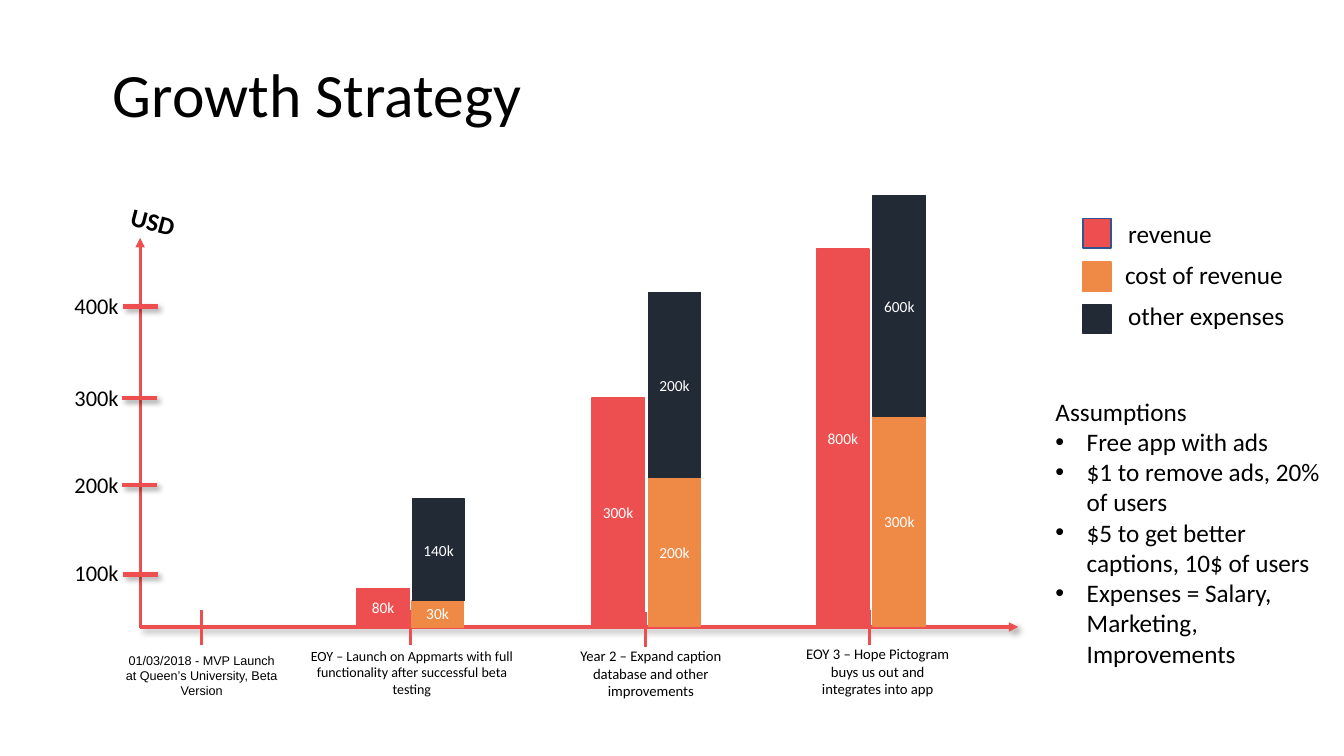
import pptx
import pptx.dml.color
import pptx.enum.dml
import pptx.enum.shapes
import pptx.enum.text
import pptx.oxml
import pptx.oxml.ns
import pptx.util
from pptx.util import Inches

RED, ORANGE, NAVY = "ED4E4F", "EF8A46", "222A35"
NS = pptx.oxml.ns.nsdecls("a")
SHADOW = (
    f'<a:effectLst {NS}><a:outerShdw blurRad="50800" dist="38100" dir="2700000" algn="tl" '
    'rotWithShape="0"><a:srgbClr val="000000"><a:alpha val="40000"/></a:srgbClr>'
    '</a:outerShdw></a:effectLst>'
)
NO_SHADOW = f"<a:effectLst {NS}/>"
ARROW = f'<a:tailEnd {NS} type="triangle"/>'


def add_text(text, left, top, width, height, size, font="Calibri", color="000000",
             align="LEFT", anchor="TOP", bold=False, wrap=True, grow=True,
             spacing=None, rotation=0, bulleted=False, fill=None, outline=None):
    """Add a text box, or a rectangle when fill is given; bulleted marks every line but the first."""
    place = [Inches(n) for n in (left, top, width, height)]
    if fill:
        box = page.shapes.add_shape(pptx.enum.shapes.MSO_SHAPE.RECTANGLE, *place)
        box.shadow.inherit = False
        box.fill.solid()
        box.fill.fore_color.rgb = pptx.dml.color.RGBColor.from_string(fill)
        box.line.color.rgb = pptx.dml.color.RGBColor.from_string(outline or fill)
        box.line.width = pptx.util.Pt(1)
    else:
        box = page.shapes.add_textbox(*place)
        if grow:
            box.text_frame.auto_size = pptx.enum.text.MSO_AUTO_SIZE.SHAPE_TO_FIT_TEXT
    box.rotation = rotation
    frame = box.text_frame
    frame.word_wrap = wrap
    frame.vertical_anchor = pptx.enum.text.MSO_ANCHOR[anchor]
    if not text:
        return
    for index, line in enumerate(text.split("\n")):
        para = frame.add_paragraph() if index else frame.paragraphs[0]
        para.alignment = pptx.enum.text.PP_ALIGN[align]
        if spacing:
            para.line_spacing = spacing
        if bulleted and index:
            props = para._p.get_or_add_pPr()
            props.set("marL", str(Inches(0.31)))
            props.set("indent", str(Inches(-0.31)))
            props.append(pptx.oxml.parse_xml(f'<a:buFont {NS} typeface="Arial"/>'))
            props.append(pptx.oxml.parse_xml(f'<a:buChar {NS} char="•"/>'))
        span = para.add_run()
        span.text = line
        span.font.name = font
        span.font.size = pptx.util.Pt(size)
        span.font.bold = bold
        span.font.color.rgb = pptx.dml.color.RGBColor.from_string(color)


def add_line(x1, y1, x2, y2, width=2.25, arrow=False, shadow=False):
    line = page.shapes.add_connector(
        pptx.enum.shapes.MSO_CONNECTOR.STRAIGHT, *[Inches(n) for n in (x1, y1, x2, y2)])
    line.line.color.rgb = pptx.dml.color.RGBColor.from_string(RED)
    line.line.width = pptx.util.Pt(width)
    if arrow:
        line.line._get_or_add_ln().append(pptx.oxml.parse_xml(ARROW))
    line._element.spPr.append(pptx.oxml.parse_xml(SHADOW if shadow else NO_SHADOW))


deck = pptx.Presentation()
deck.slide_width, deck.slide_height = Inches(13.33), Inches(7.5)
page = deck.slides.add_slide(deck.slide_layouts[6])

add_text("Growth Strategy", 1.02, 0.55, 11.5, 0.84, 44, anchor="MIDDLE", spacing=0.9, grow=False)

# Axes
add_line(1.39, 6.23, 1.39, 2.36, arrow=True)
add_line(1.39, 6.22, 10.1, 6.22, arrow=True, shadow=True)
add_text("USD", 1.2, 2, 0.65, 0.4, 18, bold=True, wrap=False, rotation=14.6)

value_ticks = [("400k", 1.22, 3.04, 2.85), ("300k", 1.21, 3.95, 3.76),
               ("200k", 1.21, 4.81, 4.62), ("100k", 1.22, 5.7, 5.5)]
for label, left, y, label_top in value_ticks:
    add_line(left, y, left + 0.35, y, width=3, shadow=True)
    add_text(label, 0.64, label_top, 0.65, 0.37, 16)

# Milestones: tick x, tick top, label, left, top, width, height, size, font
milestones = [
    (2, 6.05, "01/03/2018 - MVP Launch at Queen’s University, Beta Version",
     1.15, 6.43, 1.7, 0.56, 9, "Arial"),
    (4.07, 6.05, "EOY – Launch on Appmarts with full functionality after successful beta testing",
     2.87, 6.37, 2.43, 0.61, 10, "Calibri"),
    (6.4, 6.07, "Year 2 – Expand caption database and other improvements",
     5.51, 6.37, 1.89, 0.63, 10.5, "Calibri"),
    (8.62, 6.05, "EOY 3 – Hope Pictogram buys us out and integrates into app",
     7.88, 6.35, 1.65, 0.63, 10.5, "Calibri"),
]
for x, tick_top, label, *place, size, font in milestones:
    add_line(x, tick_top, x, tick_top + 0.35)
    add_text(label, *place, size, font=font, align="CENTER")

# Bars: label, left, top, height, colour
bars = [
    ("80k", 3.54, 5.84, 0.37, RED), ("30k", 4.08, 5.96, 0.26, ORANGE),
    ("140k", 4.09, 4.95, 1.01, NAVY),
    ("300k", 5.87, 3.95, 2.26, RED), ("200k", 6.43, 4.75, 1.46, ORANGE),
    ("200k", 6.43, 2.9, 1.84, NAVY),
    ("800k", 8.1, 2.47, 3.75, RED), ("300k", 8.66, 4.13, 2.08, ORANGE),
    ("600k", 8.66, 1.94, 2.19, NAVY),
]
for label, left, top, height, color in bars:
    add_text(label, left, top, 0.52, height, 11, color="FFFFFF", align="CENTER",
             anchor="MIDDLE", fill=color)

# Legend: label, left, top, width, wrap, swatch top, swatch fill, swatch outline
legend = [("revenue", 11.09, 2.12, 1.04, False, 2.17, RED, "325491"),
          ("cost of revenue", 11.06, 2.52, 1.89, True, 2.6, ORANGE, ORANGE),
          ("other expenses", 11.09, 2.93, 1.77, False, 3.02, NAVY, NAVY)]
for label, left, top, width, wrap, swatch_top, fill, outline in legend:
    add_text("", 10.74, swatch_top, 0.28, 0.29, 18, fill=fill, outline=outline)
    add_text(label, left, top, width, 0.4, 18, wrap=wrap)

assumptions = ["Assumptions", "Free app with ads", "$1 to remove ads, 20% of users",
               "$5 to get better captions, 10$ of users",
               "Expenses = Salary, Marketing, Improvements"]
add_text("\n".join(assumptions), 10.37, 3.88, 2.99, 3.43, 18, bulleted=True)

deck.save("out.pptx")
